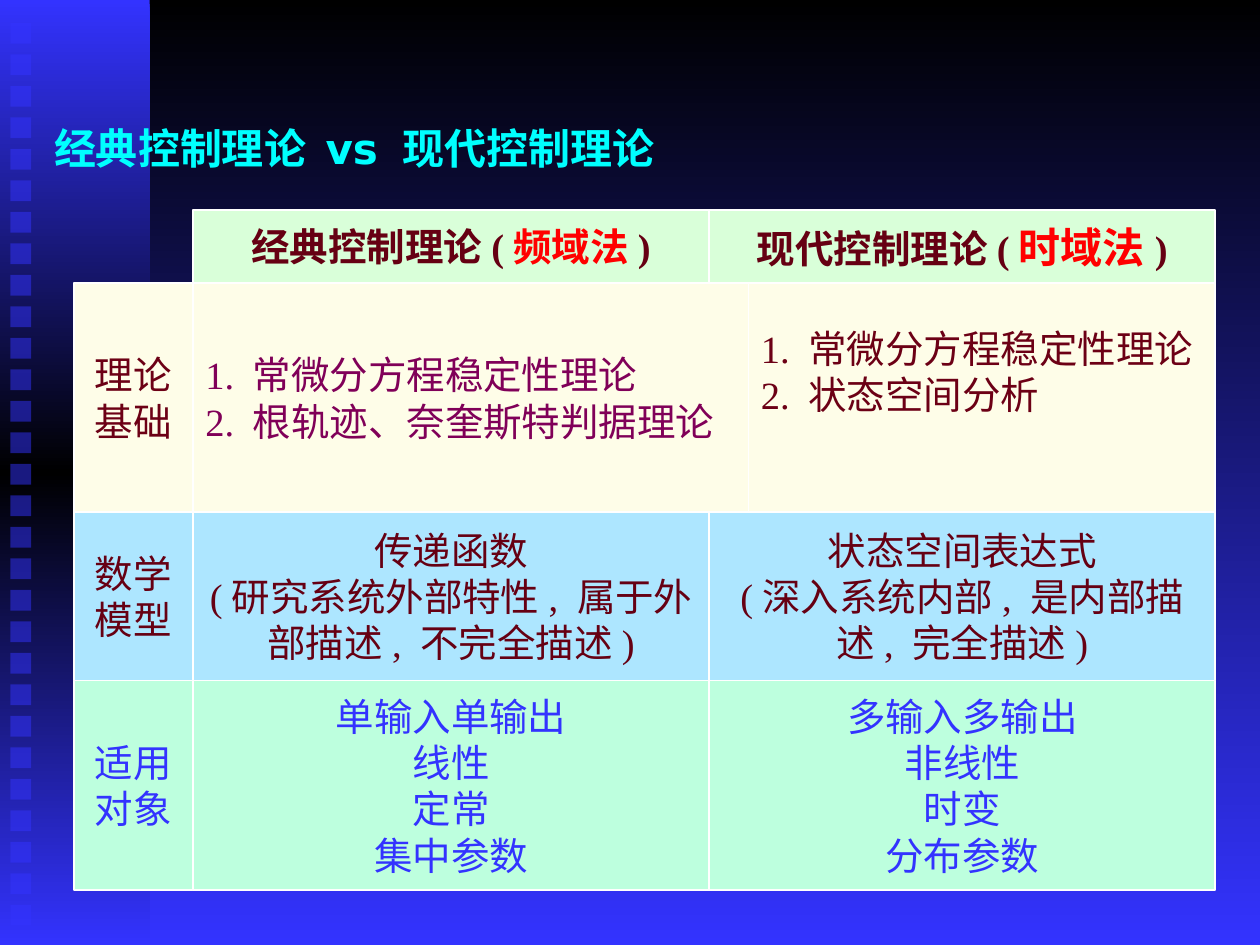
from copy import deepcopy
from dataclasses import dataclass

from lxml.etree import SubElement
from pptx import Presentation
from pptx.dml.color import RGBColor
from pptx.enum.shapes import MSO_SHAPE
from pptx.enum.text import MSO_ANCHOR, PP_ALIGN
from pptx.oxml.ns import qn
from pptx.util import Cm, Pt


@dataclass(frozen=True)
class Theme:
    black: str = "000000"
    blue: str = "3333FF"
    title: str = "00FFFF"
    border: str = "FFFFFF"
    accent: str = "FF0000"
    plum: str = "800058"
    brown: str = "6C0015"
    maroon: str = "660013"
    header_fill: str = "D9FFD9"
    basis_fill: str = "FEFDE8"
    model_fill: str = "ADE6FF"
    scope_fill: str = "BDFFDE"
    title_font: str = "DejaVu Sans"
    body_font: str = "Times New Roman"
    title_size: int = 24
    body_size: int = 22


THEME = Theme()

TITLE = "经典控制理论 vs 现代控制理论"

# name, method, size of the method
HEADERS = [
    ("经典控制理论", "频域法", THEME.body_size),
    ("现代控制理论", "时域法", THEME.title_size),
]

# fill, text colours, alignment of the two theories, lines of each cell
ROWS = [
    (THEME.basis_fill, (THEME.brown, THEME.plum, THEME.brown), PP_ALIGN.LEFT, [
        ["理论", "基础"],
        ["1. 常微分方程稳定性理论", "2. 根轨迹、奈奎斯特判据理论"],
        ["1. 常微分方程稳定性理论", "2. 状态空间分析"],
    ]),
    (THEME.model_fill, (THEME.maroon,) * 3, PP_ALIGN.CENTER, [
        ["数学", "模型"],
        ["传递函数", "(研究系统外部特性, 属于外部描述, 不完全描述)"],
        ["状态空间表达式", "(深入系统内部, 是内部描述, 完全描述)"],
    ]),
    (THEME.scope_fill, (THEME.blue,) * 3, PP_ALIGN.CENTER, [
        ["适用", "对象"],
        ["单输入单输出", "线性", "定常", "集中参数"],
        ["多输入多输出", "非线性", "时变", "分布参数"],
    ]),
]

# Edges in cm; the basis row has a wider middle column
COLUMN_EDGES = [1.49, 3.89, 14.3, 24.5]
BASIS_EDGES = [1.49, 3.89, 15.09, 24.5]
ROW_EDGES = [4.23, 5.71, 10.32, 13.72, 17.95]
BASIS_LIFT = 1.06

SQUARE_COUNT, SQUARE_SIZE, SQUARE_LEFT = 29, 0.42, 0.21
FIRST_SQUARE, LAST_SQUARE = 0.46, 18.24


def rgb(code):
    return RGBColor.from_string(code)


def fill_downward(fill, colors):
    """Gradient from top to bottom with evenly spaced colours."""
    fill.gradient()
    fill.gradient_angle = 270
    stops = fill.gradient_stops
    stop_list = stops[0]._gs.getparent()
    for _ in colors[2:]:
        stop_list.append(deepcopy(stop_list[-1]))
    for index, (stop, color) in enumerate(zip(fill.gradient_stops, colors)):
        stop.color.rgb = rgb(color)
        stop.position = index / (len(colors) - 1)


def add_rectangle(slide, left, top, right, bottom):
    rectangle = slide.shapes.add_shape(
        MSO_SHAPE.RECTANGLE, Cm(left), Cm(top), Cm(right - left), Cm(bottom - top))
    rectangle.shadow.inherit = False
    rectangle.line.fill.background()
    return rectangle


def add_cell(slide, column_edges, column, row, fill):
    """Add a bordered cell and return its text frame."""
    cell = add_rectangle(slide, column_edges[column], ROW_EDGES[row],
                         column_edges[column + 1], ROW_EDGES[row + 1])
    cell.fill.solid()
    cell.fill.fore_color.rgb = rgb(fill)
    cell.line.color.rgb = rgb(THEME.border)
    cell.line.width = Pt(1)
    frame = cell.text_frame
    frame.word_wrap = True
    frame.vertical_anchor = MSO_ANCHOR.MIDDLE
    return frame


def style(font, color, size=THEME.body_size, name=THEME.body_font, bold=False):
    font.name = name
    font.size = Pt(size)
    font.bold = bold
    font.color.rgb = rgb(color)


def add_backdrop(slide):
    fill_downward(slide.background.fill, [THEME.black, THEME.blue])
    band = add_rectangle(slide, 0, 0, 3.02, 19.05)
    fill_downward(band.fill, [THEME.blue, THEME.black, THEME.blue])
    pitch = (LAST_SQUARE - FIRST_SQUARE) / (SQUARE_COUNT - 1)
    for index in range(SQUARE_COUNT):
        top = FIRST_SQUARE + index * pitch
        square = add_rectangle(slide, SQUARE_LEFT, top,
                               SQUARE_LEFT + SQUARE_SIZE, top + SQUARE_SIZE)
        square.fill.solid()
        square.fill.fore_color.rgb = rgb(THEME.blue)
        color = square._element.spPr.find(qn("a:solidFill"))[0]
        SubElement(color, qn("a:alpha"), val="50000")


def add_title(slide):
    frame = slide.shapes.add_textbox(Cm(0.84), Cm(2.34), Cm(23.85), Cm(1.8)).text_frame
    frame.word_wrap = True
    frame.text = TITLE
    style(frame.paragraphs[0].font, THEME.title, THEME.title_size, THEME.title_font, True)


def add_body(slide):
    for row, (fill, colors, theory_align, cells) in enumerate(ROWS, start=1):
        edges = BASIS_EDGES if row == 1 else COLUMN_EDGES
        for column, (lines, color) in enumerate(zip(cells, colors)):
            frame = add_cell(slide, edges, column, row, fill)
            frame.text = "\n".join(lines)
            if (row, column) == (1, 2):
                frame.margin_bottom = Cm(0.13 + BASIS_LIFT)
            for paragraph in frame.paragraphs:
                paragraph.alignment = theory_align if column else PP_ALIGN.CENTER
                style(paragraph.font, color)


def add_headers(slide):
    for column, (theory, method, method_size) in enumerate(HEADERS, start=1):
        frame = add_cell(slide, COLUMN_EDGES, column, 0, THEME.header_fill)
        paragraph = frame.paragraphs[0]
        paragraph.alignment = PP_ALIGN.CENTER
        for text, color, size in [
            (theory + "(", THEME.maroon, THEME.body_size),
            (method, THEME.accent, method_size),
            (")", THEME.maroon, THEME.body_size),
        ]:
            run = paragraph.add_run()
            run.text = text
            style(run.font, color, size, bold=True)


def main():
    presentation = Presentation()
    presentation.slide_width, presentation.slide_height = Cm(25.4), Cm(19.05)
    slide = presentation.slides.add_slide(presentation.slide_layouts[6])
    add_backdrop(slide)
    add_title(slide)
    add_body(slide)
    add_headers(slide)
    presentation.save("out.pptx")


if __name__ == "__main__":
    main()
